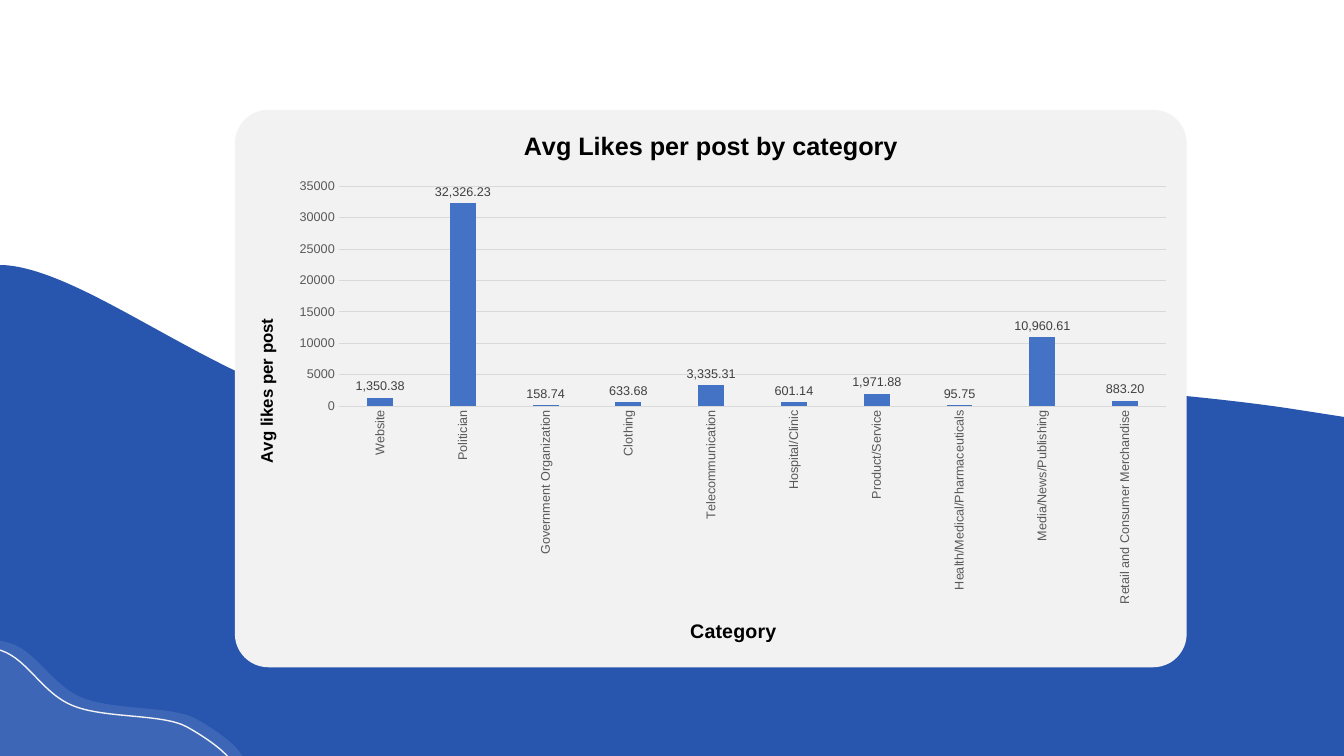
from lxml.etree import SubElement
from pptx import Presentation
from pptx.chart.data import CategoryChartData as Data
from pptx.dml.color import RGBColor as RGB
from pptx.enum.chart import XL_CHART_TYPE as Kind, XL_LABEL_POSITION as Pos, XL_TICK_MARK as Tick
from pptx.enum.shapes import MSO_SHAPE as Shape
from pptx.oxml.ns import qn
from pptx.util import Pt

PX = 9144  # 100 px to the inch
SIZE = (1333, 750)
CARD = (233, 109, 944, 553)
PLOT = (233, 107, 944, 553)

# Outlines: a start point, then lines (2 numbers) and curves (6 numbers)
WAVE = [(0, 263), (4, 263), (94, 269, 238, 402, 380, 414),
        (562, 428, 836, 361, 1034, 380), (1108, 387, 1195, 393, 1277, 405),
        (1335, 414), (1335, 750), (0, 750)]
BLOB = [(242, 759), (-22, 759), (-22, 633), (-21, 633),
        (-11, 634, -2, 635, 6, 637), (35, 643, 50, 679, 81, 692),
        (112, 705, 170, 700, 194, 713), (212, 723, 245, 744, 242, 759)]
RIM = [(233, 767), (-32, 767), (-32, 641), (-30, 641),
       (-20, 641, -11, 642, -4, 644), (26, 650, 40, 687, 72, 700),
       (103, 713, 161, 708, 185, 721), (203, 731, 236, 752, 233, 767)]

LIKES = {
    "Website": 1350.38,
    "Politician": 32326.23,
    "Government Organization": 158.74,
    "Clothing": 633.68,
    "Telecommunication": 3335.31,
    "Hospital/Clinic": 601.14,
    "Product/Service": 1971.88,
    "Health/Medical/Pharmaceuticals": 95.75,
    "Media/News/Publishing": 10960.61,
    "Retail and Consumer Merchandise": 883.20,
}
TURN = "-5400000"  # a quarter turn to the left


def paint(fmt, color):
    fmt.solid()
    fmt.fore_color.rgb = RGB.from_string(color)


def style(font, size, color, bold=False):
    for key, val in {"name": "Arial", "size": Pt(size), "bold": bold}.items():
        setattr(font, key, val)
    font.color.rgb = RGB.from_string(color)


def outline(shapes, nodes):
    """Draw the straight frame of the nodes, then bend its curved sides."""
    ends = [(n[-2] * PX, n[-1] * PX) for n in nodes]
    pen = shapes.build_freeform(*ends[0])
    pen.add_line_segments(ends[1:], close=True)
    form = pen.convert_to_shape()
    form.shadow.inherit = False
    sides = form._element.findall(".//" + qn("a:lnTo"))
    for side, node in zip(sides, nodes[1:]):
        if len(node) == 2:
            continue
        curve = side.makeelement(qn("a:cubicBezTo"))
        for x, y in zip(node[::2], node[1::2]):
            point = SubElement(curve, qn("a:pt"))
            point.set("x", str(x * PX - form.left))
            point.set("y", str(y * PX - form.top))
        side.getparent().replace(side, curve)
    return form


def place(node, index, **spots):
    """Fix the place of a chart part, given in px from the chart's corner."""
    for old in node.findall(qn("c:layout")):
        node.remove(old)
    layout = node.makeelement(qn("c:layout"))
    manual = SubElement(layout, qn("c:manualLayout"))
    if "w" in spots:
        SubElement(manual, qn("c:layoutTarget")).set("val", "inner")
    for key in ("xMode", "yMode"):
        SubElement(manual, qn("c:" + key)).set("val", "edge")
    for key, num in spots.items():
        whole = PLOT[2] if key in "xw" else PLOT[3]
        SubElement(manual, qn("c:" + key)).set("val", str(num / whole))
    node.insert(index, layout)


def turn(body, rot):
    body.set("rot", rot)
    body.set("vert", "horz")


def head(title, text, size, x, y, rot="0"):
    frame = title.text_frame
    frame.text = text
    style(frame.paragraphs[0].runs[0].font, size, "000000", True)
    turn(title._element.find(".//" + qn("a:bodyPr")), rot)
    place(title._element, 1, x=x, y=y)


def rule(line, color="D9D9D9"):
    paint(line.fill, color)
    line.width = Pt(0.75)


deck = Presentation()
deck.slide_width, deck.slide_height = (n * PX for n in SIZE)
slide = deck.slides.add_slide(deck.slide_layouts[6])
paint(slide.background.fill, "FFFFFF")

wave = outline(slide.shapes, WAVE)
paint(wave.fill, "2856AE")
wave.line.fill.background()

card = slide.shapes.add_shape(Shape.ROUNDED_RECTANGLE, *(n * PX for n in CARD))
card.adjustments[0] = 0.06
card.shadow.inherit = False
paint(card.fill, "F2F2F2")
card.line.fill.background()

group = slide.shapes.add_group_shape()
blob = outline(group.shapes, BLOB)
paint(blob.fill, "FFFFFF")
tint = blob._element.spPr.find(qn("a:solidFill")).find(qn("a:srgbClr"))
SubElement(tint, qn("a:alpha")).set("val", "10000")
blob.line.fill.background()

rim = outline(group.shapes, RIM)
rim.fill.background()
paint(rim.line.fill, "F2F2F2")
rim.line.width = Pt(1)

data = Data()
data.categories = list(LIKES)
data.add_series("Series 1", list(LIKES.values()))
chart = slide.shapes.add_chart(Kind.COLUMN_CLUSTERED, *(n * PX for n in PLOT), data).chart
chart.has_legend = False
style(chart.font, 10, "000000")
head(chart.chart_title, "Avg Likes per post by category", 18, 282, 17)
place(chart._chartSpace.find(".//" + qn("c:plotArea")), 0, x=103, y=78, w=821, h=218)

cat, val = chart.category_axis, chart.value_axis
for axis in (cat, val):
    axis.major_tick_mark = axis.minor_tick_mark = Tick.NONE
    style(axis.tick_labels.font, 9, "595959")
head(cat.axis_title, "Category", 14, 448, 503)
head(val.axis_title, "Avg likes per post", 12, 18, 206, TURN)
turn(cat._element.find(qn("c:txPr")).find(qn("a:bodyPr")), TURN)
rule(cat.format.line)
val.format.line.fill.background()
rule(val.major_gridlines.format.line)
for key, num in {"minimum_scale": 0, "maximum_scale": 35000, "major_unit": 5000}.items():
    setattr(val, key, num)

plot = chart.plots[0]
for key, num in {"gap_width": 219, "overlap": -27, "vary_by_categories": False}.items():
    setattr(plot, key, num)
bars = plot.series[0]
paint(bars.format.fill, "4472C4")
labels = bars.data_labels
for key, num in {"show_value": True, "position": Pos.OUTSIDE_END,
                 "number_format": "#,##0.00", "number_format_is_linked": False}.items():
    setattr(labels, key, num)
style(labels.font, 9, "404040")

deck.save("out.pptx")
